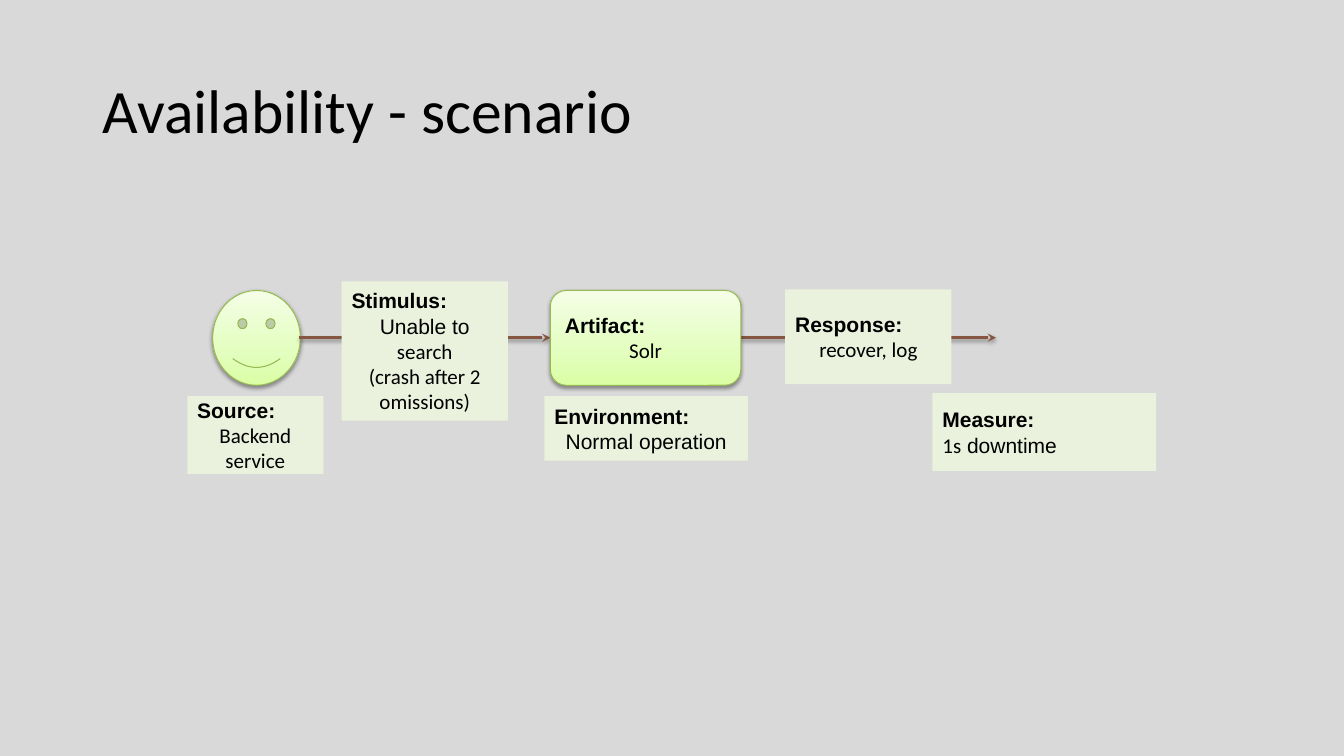
from dataclasses import dataclass

import pptx
import pptx.dml.color
import pptx.enum.shapes
import pptx.enum.text
import pptx.oxml
import pptx.oxml.ns
import pptx.util

Cm, Pt = pptx.util.Cm, pptx.util.Pt
RGBColor = pptx.dml.color.RGBColor
MSO_SHAPE = pptx.enum.shapes.MSO_SHAPE
PP_ALIGN = pptx.enum.text.PP_ALIGN
NS = pptx.oxml.ns.nsdecls("a")

BACKGROUND = RGBColor(0xD9, 0xD9, 0xD9)
BLACK = RGBColor(0x00, 0x00, 0x00)
PALE_GREEN = RGBColor(0xEA, 0xF1, 0xDD)
GREEN_LINE = RGBColor(0x97, 0xB8, 0x53)
BROWN = RGBColor(0x86, 0x56, 0x40)
GRADIENT = (
    (0, RGBColor(0xDA, 0xFE, 0xA4)),
    (35, RGBColor(0xE3, 0xFE, 0xBF)),
    (100, RGBColor(0xF4, 0xFE, 0xE6)),
)

SANS, BODY = "Arial", "Calibri"
HEADING = {"name": SANS, "size": Pt(15), "bold": True}
FLOW_Y = 8.51  # height of the arrows, in cm

Run = tuple[str, str]  # text, font name


@dataclass
class Box:
    left: float
    top: float
    width: float
    height: float
    heading: str = ""
    lines: tuple[tuple[Run, ...], ...] = ()
    align: PP_ALIGN = PP_ALIGN.CENTER
    shape: MSO_SHAPE = MSO_SHAPE.RECTANGLE
    glossy: bool = False


@dataclass
class Arrow:
    start: float
    end: float


# Back to front
PARTS = (
    Box(5.36, 7.32, 2.21, 2.39, shape=MSO_SHAPE.SMILEY_FACE, glossy=True),
    Arrow(7.54, 13.87),
    Box(8.61, 7.09, 4.19, 3.51, "Stimulus:",
        ((("Unable to ", SANS), ("search", BODY)),
         (("(crash after 2 omissions)", BODY),))),
    Arrow(18.67, 25.1),
    Box(13.72, 9.98, 5.13, 1.63, "Environment:", ((("Normal operation", SANS),),)),
    Box(19.79, 7.29, 4.19, 2.39, "Response:", ((("recover, log", BODY),),)),
    Box(23.5, 9.91, 5.64, 1.96, "Measure:",
        ((("1s", BODY), (" downtime", SANS)),), align=PP_ALIGN.LEFT),
    Box(13.87, 7.32, 4.8, 2.39, "Artifact:", ((("Solr", BODY),),),
        shape=MSO_SHAPE.ROUNDED_RECTANGLE, glossy=True),
    Box(4.72, 9.98, 3.43, 1.96, "Source:", ((("Backend service", BODY),),)),
)


def add_run(p, text: str, values: dict) -> None:
    r = p.add_run()
    r.text = text
    r.font.color.rgb = BLACK
    for key, value in values.items():
        setattr(r.font, key, value)


def add_shadow(sp) -> None:
    sp._element.spPr.append(pptx.oxml.parse_xml(
        f'<a:effectLst {NS}><a:outerShdw blurRad="{Pt(3.1)}" dist="{Pt(1.6)}" '
        f'dir="5400000" rotWithShape="0"><a:srgbClr val="{BLACK}">'
        '<a:alpha val="38000"/></a:srgbClr></a:outerShdw></a:effectLst>'))


def add_gradient(sp) -> None:
    stops = "".join(f'<a:gs pos="{pos * 1000}"><a:srgbClr val="{color}"/></a:gs>'
                    for pos, color in GRADIENT)
    sp._element.spPr.find(pptx.oxml.ns.qn("a:prstGeom")).addnext(pptx.oxml.parse_xml(
        f'<a:gradFill {NS} rotWithShape="1"><a:gsLst>{stops}</a:gsLst>'
        '<a:lin ang="16200000" scaled="0"/></a:gradFill>'))


def draw_box(s, box: Box) -> None:
    sp = s.shapes.add_shape(box.shape, Cm(box.left), Cm(box.top),
                            Cm(box.width), Cm(box.height))
    if box.glossy:
        add_gradient(sp)
        sp.line.color.rgb = GREEN_LINE
        sp.line.width = Pt(0.75)
        add_shadow(sp)
    else:
        sp.fill.solid()
        sp.fill.fore_color.rgb = PALE_GREEN
        sp.line.fill.background()
        sp.shadow.inherit = False
    if box.shape == MSO_SHAPE.SMILEY_FACE:
        sp.adjustments[0] = 0.05
    if not box.heading:
        return
    tf = sp.text_frame
    tf.word_wrap = True
    tf.vertical_anchor = pptx.enum.text.MSO_ANCHOR.MIDDLE
    p = tf.paragraphs[0]
    p.alignment = PP_ALIGN.LEFT
    add_run(p, box.heading, HEADING)
    for line in box.lines:
        p = tf.add_paragraph()
        p.alignment = box.align
        for text, font in line:
            add_run(p, text, HEADING | {"name": font, "bold": False})


def draw_arrow(s, arrow: Arrow) -> None:
    sp = s.shapes.add_connector(pptx.enum.shapes.MSO_CONNECTOR.STRAIGHT,
                                Cm(arrow.start), Cm(FLOW_Y), Cm(arrow.end), Cm(FLOW_Y))
    sp.line.color.rgb = BROWN
    sp.line.width = Pt(2)
    sp.line._get_or_add_ln().append(
        pptx.oxml.parse_xml(f'<a:tailEnd {NS} type="stealth"/>'))
    add_shadow(sp)


def draw_title(s, text: str) -> None:
    tf = s.shapes.add_textbox(Cm(2.34), Cm(1.02), Cm(29.21), Cm(3.68)).text_frame
    tf.word_wrap = True
    tf.vertical_anchor = pptx.enum.text.MSO_ANCHOR.MIDDLE
    p = tf.paragraphs[0]
    p.line_spacing = 0.9
    add_run(p, text, {"name": BODY, "size": Pt(44)})


def main() -> None:
    prs = pptx.Presentation()
    prs.slide_width, prs.slide_height = Cm(33.87), Cm(19.05)
    s = prs.slides.add_slide(prs.slide_layouts[6])
    s.background.fill.solid()
    s.background.fill.fore_color.rgb = BACKGROUND

    draw_title(s, "Availability - scenario")
    for part in PARTS:
        if isinstance(part, Arrow):
            draw_arrow(s, part)
        else:
            draw_box(s, part)
    prs.save("out.pptx")


if __name__ == "__main__":
    main()
